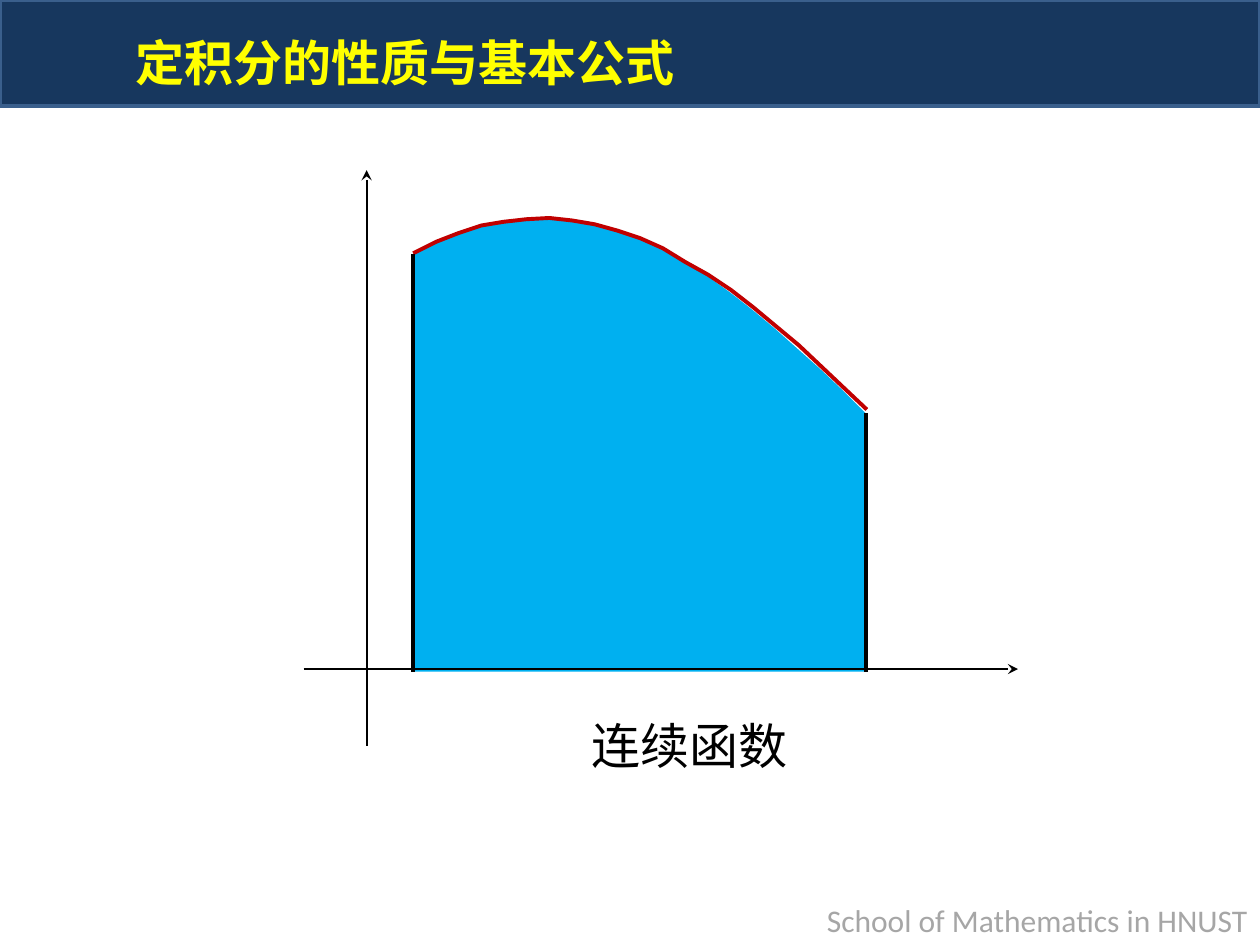
from dataclasses import dataclass

import pptx
import pptx.dml.color
import pptx.enum.shapes
import pptx.enum.text
import pptx.oxml.ns
import pptx.util
from lxml import etree
from pptx.util import Inches


@dataclass(frozen=True)
class Theme:
    banner: str = "17375E"
    banner_edge: str = "3A5F8C"
    title: str = "FFFF00"
    area: str = "00B0F0"
    curve: str = "C00000"
    ink: str = "000000"
    footer: str = "A6A6A6"
    chinese_font: str = "Noto Sans CJK SC"
    latin_font: str = "Calibri"
    large: int = 28
    small: int = 18
    thin: float = 1
    banner_line: float = 2
    thick: float = 2.25


def rgb(value):
    return pptx.dml.color.RGBColor.from_string(value)


def add_child(parent, tag, **attributes):
    return etree.SubElement(parent, pptx.oxml.ns.qn(tag), **attributes)


class SlideBuilder:
    def __init__(self, slide, theme):
        self.slide = slide
        self.theme = theme
        self.figure = None

    def start_figure(self):
        """Open the group that receives the curves and lines."""
        self.figure = self.slide.shapes.add_group_shape().shapes

    def style(self, shape, fill=None, line=None, line_width=None):
        shape.shadow.inherit = False
        if fill:
            shape.fill.solid()
            shape.fill.fore_color.rgb = rgb(fill)
        else:
            shape.fill.background()
        if line:
            shape.line.color.rgb = rgb(line)
            shape.line.width = pptx.util.Pt(line_width)
        else:
            shape.line.fill.background()

    def rectangle(self, left, top, width, height, **style):
        shape = self.slide.shapes.add_shape(
            pptx.enum.shapes.MSO_SHAPE.RECTANGLE,
            Inches(left), Inches(top), Inches(width), Inches(height))
        self.style(shape, **style)

    def outline(self, points, close, **style):
        start, *others = [(Inches(x), Inches(y)) for x, y in points]
        builder = self.figure.build_freeform(*start)
        builder.add_line_segments(others, close=close)
        self.style(builder.convert_to_shape(), **style)

    def line(self, start, end, line_width, arrow=False):
        connector = self.figure.add_connector(
            pptx.enum.shapes.MSO_CONNECTOR.STRAIGHT,
            *[Inches(value) for value in (*start, *end)])
        connector.line.color.rgb = rgb(self.theme.ink)
        connector.line.width = pptx.util.Pt(line_width)
        properties = connector._element.spPr
        if arrow:
            add_child(properties.find(pptx.oxml.ns.qn("a:ln")), "a:tailEnd", type="stealth")
        add_child(properties, "a:effectLst")

    def text(self, text, left, top, width, height, size, color, font,
             bold=False, wrap=True, align=pptx.enum.text.PP_ALIGN.LEFT):
        box = self.slide.shapes.add_textbox(
            Inches(left), Inches(top), Inches(width), Inches(height))
        frame = box.text_frame
        frame.word_wrap = wrap
        frame.auto_size = pptx.enum.text.MSO_AUTO_SIZE.SHAPE_TO_FIT_TEXT
        frame.text = text
        paragraph = frame.paragraphs[0]
        paragraph.alignment = align
        run = paragraph.runs[0]
        run.font.size = pptx.util.Pt(size)
        run.font.bold = bold
        run.font.color.rgb = rgb(color)
        run.font.name = font
        add_child(run._r.get_or_add_rPr(), "a:ea", typeface=font)


def main():
    presentation = pptx.Presentation()
    presentation.slide_width = Inches(10)
    presentation.slide_height = Inches(7.5)
    slide = presentation.slides.add_slide(presentation.slide_layouts[6])
    theme = Theme()
    builder = SlideBuilder(slide, theme)

    builder.text("School of Mathematics in HNUST", 4.57, 7.1, 5.43, 0.4,
                 theme.small, theme.footer, theme.latin_font,
                 align=pptx.enum.text.PP_ALIGN.RIGHT)
    builder.rectangle(0, 0, 10, 0.84, fill=theme.banner,
                      line=theme.banner_edge, line_width=theme.banner_line)
    builder.text("定积分的性质与基本公式", 0.98, 0.21, 4.52, 0.57,
                 theme.large, theme.title, theme.chinese_font,
                 bold=True, wrap=False)

    left, right, base = 3.28, 6.87, 5.33
    area_tops = [2.02, 1.93, 1.86, 1.8, 1.76, 1.74, 1.74, 1.75, 1.78, 1.83, 1.9,
                 1.98, 2.08, 2.19, 2.32, 2.46, 2.61, 2.77, 2.93, 3.1, 3.28]
    curve_heights = [2.01, 1.92, 1.85, 1.79, 1.76, 1.74, 1.73, 1.75, 1.78, 1.83, 1.89,
                     1.97, 2.08, 2.18, 2.3, 2.44, 2.59, 2.74, 2.91, 3.08, 3.25]
    step = (right - left) / (len(area_tops) - 1)
    area = [(left + index * step, top) for index, top in enumerate(area_tops)]
    curve = [(left + index * 0.18, height) for index, height in enumerate(curve_heights)]

    builder.start_figure()
    builder.outline(area + [(right, base), (left, base)], close=True, fill=theme.area)
    builder.outline(curve, close=False, line=theme.curve, line_width=theme.thick)
    builder.line((2.41, 5.31), (8.08, 5.31), theme.thin, arrow=True)
    builder.line((2.91, 5.92), (2.91, 1.35), theme.thin, arrow=True)
    for edge in (area[0], area[-1]):
        builder.line(edge, (edge[0], base), theme.thick)

    builder.text("连续函数", 4.6, 5.63, 1.94, 0.57,
                 theme.large, theme.ink, theme.chinese_font)
    presentation.save("out.pptx")


if __name__ == "__main__":
    main()
